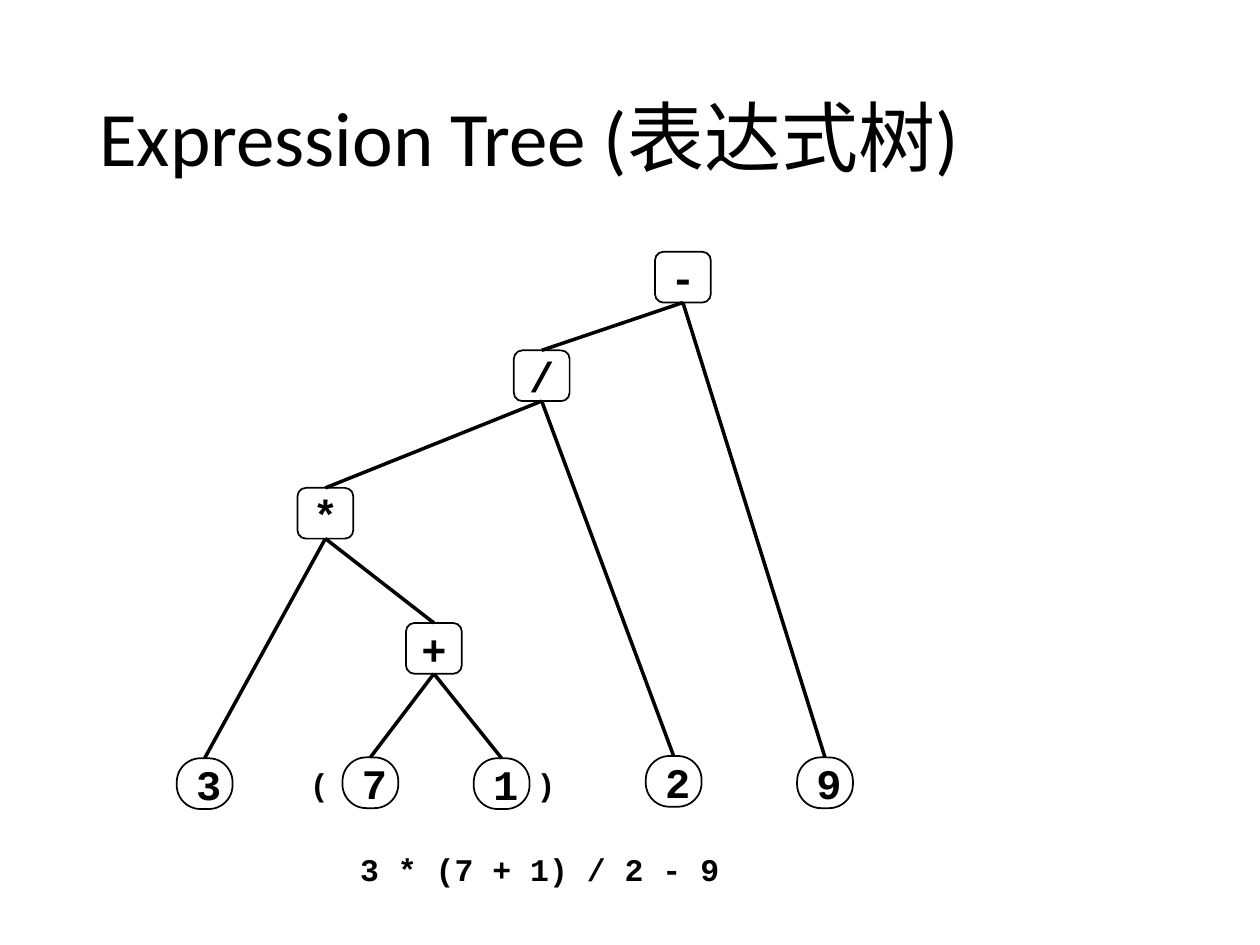
import pptx
import pptx.util
import pptx.dml.color
import pptx.enum.shapes
import pptx.enum.text
from lxml import etree

Pt = pptx.util.Pt
RGB = pptx.dml.color.RGBColor
Shape = pptx.enum.shapes.MSO_SHAPE
Line = pptx.enum.shapes.MSO_CONNECTOR
Align = pptx.enum.text.PP_ALIGN
Anchor = pptx.enum.text.MSO_ANCHOR
Fit = pptx.enum.text.MSO_AUTO_SIZE

BLACK = RGB(0, 0, 0)
WHITE = RGB(255, 255, 255)
NS = "{http://schemas.openxmlformats.org/drawingml/2006/main}"
TOP, BOTTOM = 0, 2


def write(frame, text, size=24, font="Courier New", bold=True,
          align=Align.LEFT, space=None, tab=None):
    para = frame.paragraphs[0]
    para.alignment = align
    if space:
        para.line_spacing = space
    if tab:
        stops = etree.SubElement(para._p.get_or_add_pPr(), NS + "tabLst")
        etree.SubElement(stops, NS + "tab", pos=str(Pt(tab)), algn="l")
    run = para.add_run()
    run.text = text
    run.font.name = font
    run.font.size = Pt(size)
    run.font.bold = bold
    run.font.color.rgb = BLACK


class Deck:
    node_w, node_h = 31.9, 29

    def __init__(self):
        self.file = pptx.Presentation()
        self.file.slide_width = Pt(720)
        self.file.slide_height = Pt(540)
        self.slide = self.file.slides.add_slide(self.file.slide_layouts[5])

    def title(self, text, x, y, w, h):
        box = self.slide.shapes.title
        box.left, box.top, box.width, box.height = map(Pt, (x, y, w, h))
        box.text_frame.vertical_anchor = Anchor.MIDDLE
        write(box.text_frame, text, size=44, font="Calibri", bold=False, space=0.9)

    def label(self, text, x, y, w, h=29, **form):
        box = self.slide.shapes.add_textbox(Pt(x), Pt(y), Pt(w), Pt(h))
        box.text_frame.word_wrap = True
        box.text_frame.auto_size = Fit.SHAPE_TO_FIT_TEXT
        write(box.text_frame, text, size=18, **form)

    def node(self, text, x, y):
        box = self.slide.shapes.add_shape(
            Shape.ROUNDED_RECTANGLE, Pt(x), Pt(y), Pt(self.node_w), Pt(self.node_h))
        if text.isdigit():
            box.adjustments[0] = 0.47
        box.shadow.inherit = False
        box.fill.solid()
        box.fill.fore_color.rgb = WHITE
        box.line.color.rgb = BLACK
        box.line.width = Pt(1)
        box.text_frame.vertical_anchor = Anchor.MIDDLE
        write(box.text_frame, text, align=Align.CENTER)
        return box

    def edge(self, head, child):
        line = self.slide.shapes.add_connector(Line.STRAIGHT, 0, 0, 0, 0)
        line.begin_connect(head, BOTTOM)
        line.end_connect(child, TOP)
        line.line.color.rgb = BLACK
        line.line.width = Pt(2)
        etree.SubElement(line._element.spPr, NS + "effectLst")


NODES = {
    "-": (374.3, 143.9), "/": (293.6, 200.2), "*": (170, 278.8), "+": (232, 356),
    "3": (101, 433.3), "7": (195.7, 432.8), "1": (270.7, 433.3),
    "2": (369, 432), "9": (455.5, 432.8),
}
TREE = {"+": "17", "*": "3+", "/": "2*", "-": "/9"}


def main():
    deck = Deck()
    deck.title("Expression Tree (表达式树)", 49.5, 28.8, 621, 104.4)
    deck.label("(\t)", 170, 433.4, 155.5, tab=129.6)
    deck.label("3 * (7 + 1) / 2 - 9", 198.7, 482.4, 222)
    nodes = {text: deck.node(text, *spot) for text, spot in NODES.items()}
    for head, below in TREE.items():
        for child in below:
            deck.edge(nodes[head], nodes[child])
    deck.file.save("out.pptx")


if __name__ == "__main__":
    main()
